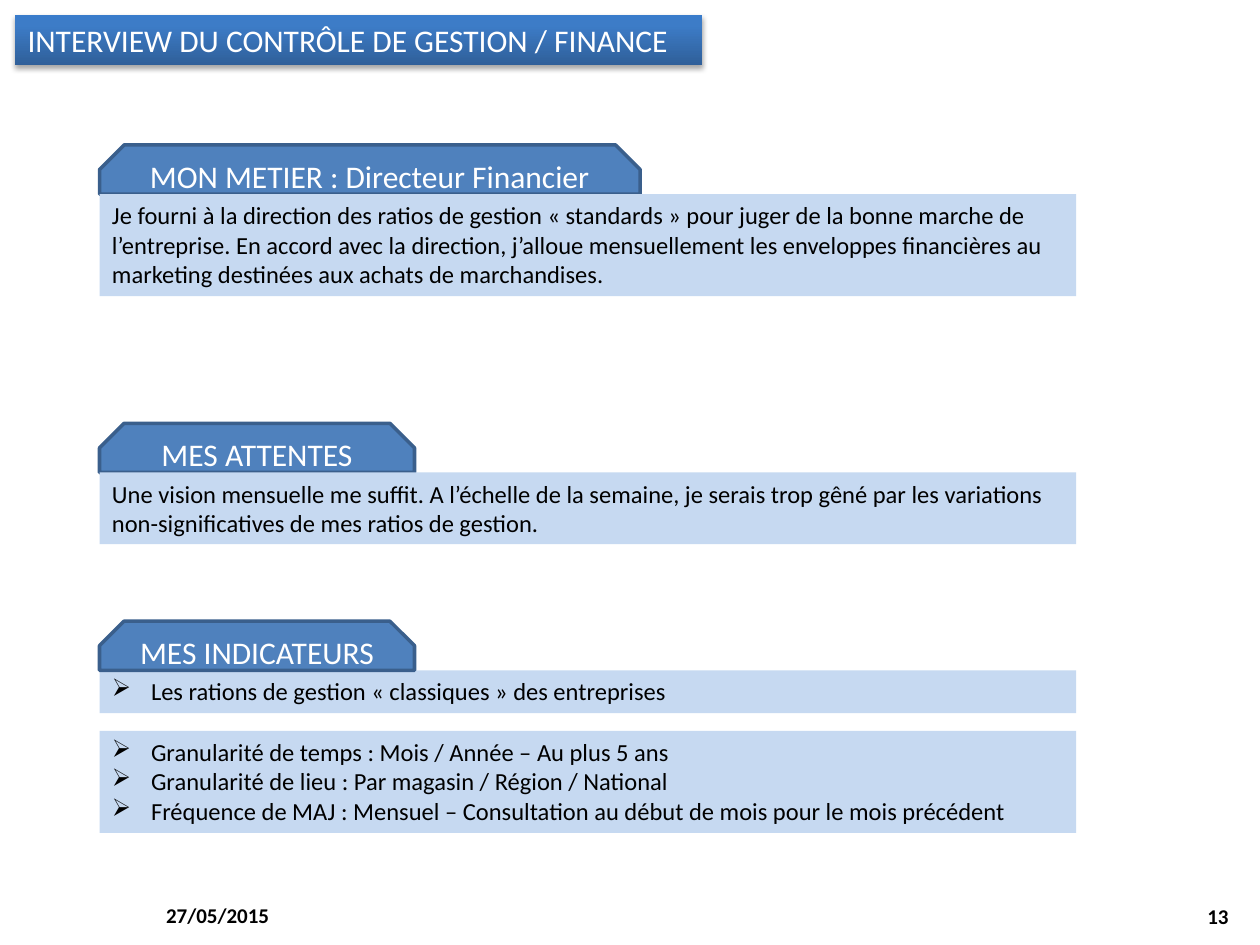
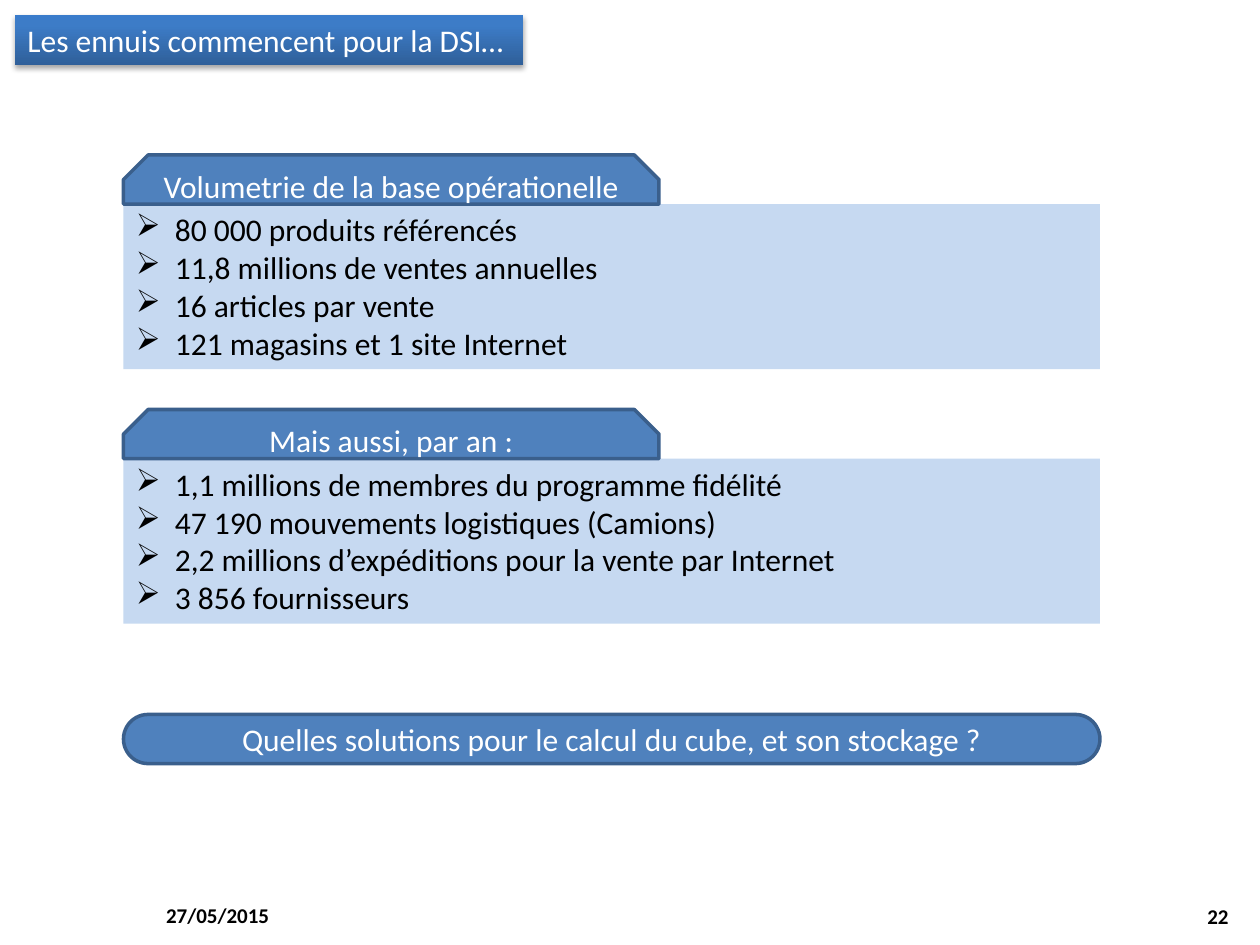
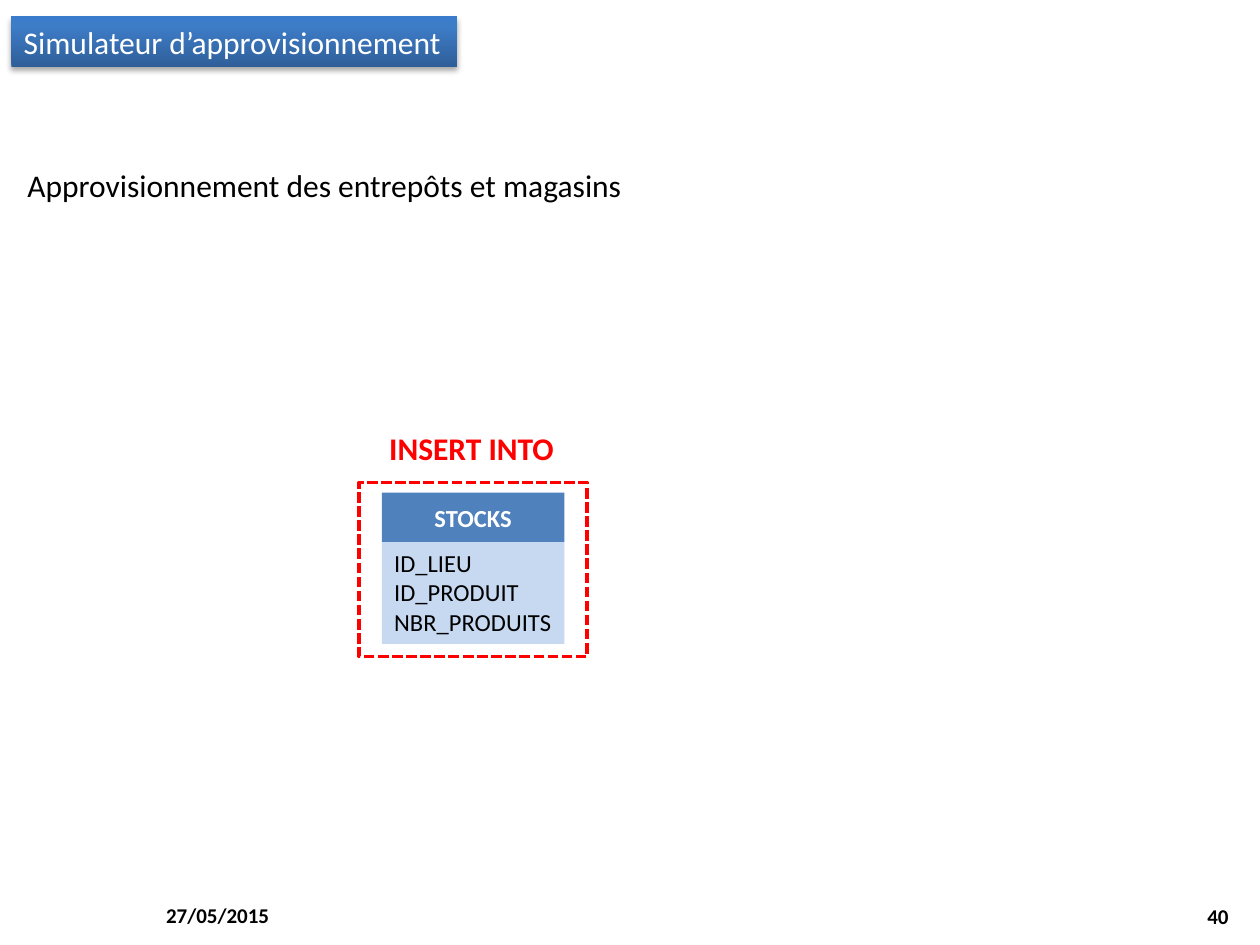
from lxml import etree
from pptx import Presentation
from pptx.dml.color import RGBColor
from pptx.enum.dml import MSO_LINE
from pptx.enum.shapes import MSO_SHAPE
from pptx.enum.text import MSO_ANCHOR, MSO_AUTO_SIZE, PP_ALIGN
from pptx.oxml import parse_xml
from pptx.oxml.ns import nsdecls, qn
from pptx.util import Inches, Pt

RECT = MSO_SHAPE.RECTANGLE
SNIPPED = MSO_SHAPE.SNIP_2_SAME_RECTANGLE
ROUNDED = MSO_SHAPE.ROUNDED_RECTANGLE
DASHED = MSO_LINE.SQUARE_DOT
LEFT, CENTER, RIGHT = PP_ALIGN.LEFT, PP_ALIGN.CENTER, PP_ALIGN.RIGHT
TOP, MIDDLE = MSO_ANCHOR.TOP, MSO_ANCHOR.MIDDLE
GROW, FIXED = MSO_AUTO_SIZE.SHAPE_TO_FIT_TEXT, MSO_AUTO_SIZE.NONE

FONT = "Calibri"
BLACK, WHITE, RED = "000000", "FFFFFF", "FF0000"
BLUE, DARK_BLUE, PALE_BLUE = "4F81BD", "3A5F8C", "C6D9F1"
TITLE_STOPS = [(0, "2F5F99"), (80, "3D7CC7"), (100, "3A7CCB")]

DATE = "27/05/2015"
TAB_HEIGHT = 0.39
BODY_WIDTH = 7.75
BULLET_INDENT = 0.31


def rgb(hex_color):
    return RGBColor.from_string(hex_color)


def write(shape, text, size=18, color=BLACK, bold=False, align=LEFT, anchor=TOP,
          wrap=True, fit=FIXED, bullet=False, spacing=None):
    """Fill a shape with text, one paragraph per line."""
    frame = shape.text_frame
    frame.word_wrap = wrap
    frame.auto_size = fit
    frame.vertical_anchor = anchor
    for index, line in enumerate(text.split("\n")):
        paragraph = frame.add_paragraph() if index else frame.paragraphs[0]
        paragraph.alignment = align
        if spacing:
            paragraph.line_spacing = spacing
        if bullet:
            properties = paragraph._p.get_or_add_pPr()
            properties.set("marL", str(Inches(BULLET_INDENT)))
            properties.set("indent", str(-Inches(BULLET_INDENT)))
            etree.SubElement(properties, qn("a:buChar"), char="➢")
        run = paragraph.add_run()
        run.text = line
        run.font.name = FONT
        run.font.size = Pt(size)
        run.font.bold = bold
        run.font.color.rgb = rgb(color)


def add_box(shapes, kind, box, fill=None, line=None, adjustments=()):
    shape = shapes.add_shape(kind, *map(Inches, box))
    shape.shadow.inherit = False
    for index, value in enumerate(adjustments):
        shape.adjustments[index] = value
    if fill:
        shape.fill.solid()
        shape.fill.fore_color.rgb = rgb(fill)
    else:
        shape.fill.background()
    if line:
        shape.line.color.rgb = rgb(line)
        shape.line.width = Pt(2)
    else:
        shape.line.fill.background()
    return shape


def add_label(shapes, box, text, **style):
    write(shapes.add_textbox(*map(Inches, box)), text, **style)


def add_title(slide, left, top, width, text):
    """Title band with a vertical gradient and a soft shadow below."""
    band = add_box(slide.shapes, RECT, (left, top, width, 0.4))
    properties = band._element.spPr
    stops = "".join(f'<a:gs pos="{position * 1000}"><a:srgbClr val="{color}"/></a:gs>'
                    for position, color in TITLE_STOPS)
    gradient = parse_xml(f'<a:gradFill {nsdecls("a")} rotWithShape="1"><a:gsLst>{stops}</a:gsLst>'
                         '<a:lin ang="16200000" scaled="0"/></a:gradFill>')
    properties.replace(properties.find(qn("a:noFill")), gradient)
    properties.find(qn("a:effectLst")).append(parse_xml(
        f'<a:outerShdw {nsdecls("a")} blurRad="{Pt(3.1)}" dist="{Pt(1.8)}" dir="5400000" '
        'rotWithShape="0"><a:srgbClr val="000000"><a:alpha val="35000"/></a:srgbClr></a:outerShdw>'))
    write(band, text, color=WHITE, wrap=False, fit=GROW)


def add_footer(slide, number):
    add_label(slide.shapes, (1.22, 7.06, 2.33, 0.4), DATE, size=12, bold=True, anchor=MIDDLE)
    add_label(slide.shapes, (7.52, 7.07, 2.33, 0.4), str(number), size=12, bold=True,
              align=RIGHT, anchor=MIDDLE)


def start_slide(deck, number, title, title_width, left=0.12, top=0.12):
    slide = deck.slides.add_slide(deck.slide_layouts[6])
    add_footer(slide, number)
    add_title(slide, left, top, title_width, title)
    return slide


def add_tab(slide, left, top, width, heading):
    tab = add_box(slide.shapes, SNIPPED, (left, top, width, TAB_HEIGHT), BLUE, DARK_BLUE, (0.5, 0))
    write(tab, heading, color=WHITE, align=CENTER, anchor=MIDDLE)


def add_body(slide, left, top, height, text, **style):
    body = add_box(slide.shapes, RECT, (left, top, BODY_WIDTH, height), PALE_BLUE)
    write(body, text, fit=GROW, **style)


def add_section(slide, left, top, tab_width, heading, body_height, text, tab_in_front=True, **style):
    """Snipped tab resting on a pale body."""
    if not tab_in_front:
        add_tab(slide, left, top, tab_width, heading)
    add_body(slide, left, top + TAB_HEIGHT, body_height, text, **style)
    if tab_in_front:
        add_tab(slide, left, top, tab_width, heading)


def add_stock_table(slide, left, top):
    """STOCKS entity in a dashed frame, under its SQL instruction."""
    shapes = slide.shapes.add_group_shape().shapes
    entity_left, entity_top, entity_width = left + 0.18, top + 0.55, 1.45
    fields = add_box(shapes, RECT, (entity_left, entity_top + TAB_HEIGHT, entity_width, 0.81), PALE_BLUE)
    write(fields, "ID_LIEU\nID_PRODUIT\nNBR_PRODUITS", size=14, fit=GROW)
    entity = add_box(shapes, SNIPPED, (entity_left, entity_top, entity_width, TAB_HEIGHT), BLUE,
                     adjustments=(0, 0))
    write(entity, "STOCKS", size=14, color=WHITE, bold=True, align=CENTER, anchor=MIDDLE)
    frame = add_box(shapes, RECT, (left, top + 0.47, 1.81, 1.38), line=RED)
    frame.line.dash_style = DASHED
    add_label(shapes, (left + 0.14, top, 1.52, 0.4), "INSERT INTO", color=RED, bold=True,
              wrap=False, fit=GROW)


def build_interview(deck):
    slide = start_slide(deck, 13, "INTERVIEW DU CONTRÔLE DE GESTION / FINANCE", 5.45)
    left = 0.79
    add_section(slide, left, 1.15, 4.29, "MON METIER : Directeur Financier", 0.81,
                "Je fourni à la direction des ratios de gestion « standards » pour juger de la bonne "
                "marche de l’entreprise. En accord avec la direction, j’alloue mensuellement les "
                "enveloppes financières au marketing destinées aux achats de marchandises.",
                tab_in_front=False, size=14)
    add_section(slide, left, 3.36, 2.5, "MES ATTENTES", 0.57,
                "Une vision mensuelle me suffit. A l’échelle de la semaine, je serais trop gêné par "
                "les variations non-significatives de mes ratios de gestion.",
                tab_in_front=False, size=14)
    add_section(slide, left, 4.93, 2.5, "MES INDICATEURS", 0.34,
                "Les rations de gestion « classiques » des entreprises", size=14, bullet=True)
    add_body(slide, left, 5.8, 0.81,
             "Granularité de temps : Mois / Année – Au plus 5 ans\n"
             "Granularité de lieu : Par magasin / Région / National\n"
             "Fréquence de MAJ : Mensuel – Consultation au début de mois pour le mois précédent",
             size=14, bullet=True)


def build_volumes(deck):
    slide = start_slide(deck, 22, "Les ennuis commencent pour la DSI…", 4.03)
    left = 0.98
    sections = [
        (1.23, "Volumetrie de la base opérationelle",
         "80 000 produits référencés\n11,8 millions de ventes annuelles\n"
         "16 articles par vente\n121 magasins et 1 site Internet"),
        (3.25, "Mais aussi, par an :",
         "1,1 millions de membres du programme fidélité\n47 190 mouvements logistiques (Camions)\n"
         "2,2 millions d’expéditions pour la vente par Internet\n3 856 fournisseurs"),
    ]
    for top, heading, figures in sections:
        add_section(slide, left, top, 4.25, heading, 1.31, figures, bullet=True)
    question = add_box(slide.shapes, ROUNDED, (left, 5.67, BODY_WIDTH, TAB_HEIGHT), BLUE, DARK_BLUE, (0.5,))
    write(question, "Quelles solutions pour le calcul du cube, et son stockage ?",
          color=WHITE, align=CENTER, anchor=MIDDLE)


def build_simulator(deck):
    slide = start_slide(deck, 40, "Simulateur d’approvisionnement", 3.54, left=0.09, top=0.13)
    add_label(slide.shapes, (0.12, 0.97, 6.83, 0.62), "Approvisionnement des entrepôts et magasins",
              fit=GROW, spacing=2.0)
    add_stock_table(slide, 2.85, 3.36)


def main():
    deck = Presentation()
    deck.slide_width, deck.slide_height = Inches(10), Inches(7.5)
    build_interview(deck)
    build_volumes(deck)
    build_simulator(deck)
    deck.save("out.pptx")


if __name__ == "__main__":
    main()
